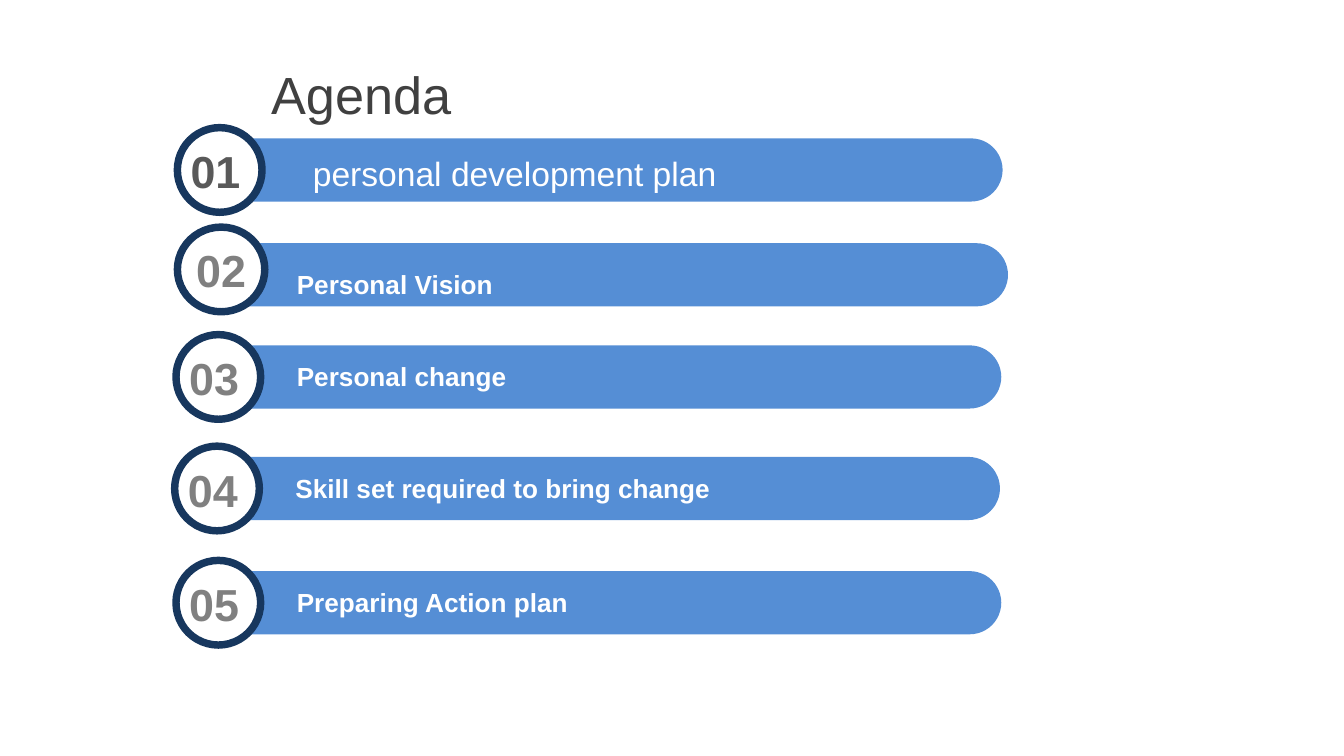
from pptx import Presentation
from pptx.dml.color import RGBColor
from pptx.enum.shapes import MSO_SHAPE
from pptx.enum.text import MSO_ANCHOR, PP_ALIGN
from pptx.util import Inches, Pt

BLUE = RGBColor(0x55, 0x8E, 0xD5)
NAVY = RGBColor(0x17, 0x37, 0x5E)
WHITE = RGBColor(0xFF, 0xFF, 0xFF)
DARK = RGBColor(0x40, 0x40, 0x40)
SLATE = RGBColor(0x59, 0x59, 0x59)
GREY = RGBColor(0x80, 0x80, 0x80)

BAR_H = 0.47
RING_H = 0.63


def add_text(slide, box, text, size, color, bold=False,
             anchor=MSO_ANCHOR.MIDDLE, align=PP_ALIGN.LEFT, pad=0.05):
    frame = slide.shapes.add_textbox(*map(Inches, box)).text_frame
    frame.word_wrap = True
    frame.vertical_anchor = anchor
    frame.margin_top = frame.margin_bottom = Inches(pad)
    para = frame.paragraphs[0]
    para.text = text
    para.alignment = align
    font = para.font
    font.name, font.size, font.bold = "Arial", Pt(size), bold
    font.color.rgb = color


def add_bar(slide, left, top, width):
    # An upright shape turned a quarter, so its round end faces right
    x = left + (width - BAR_H) / 2
    y = top + (BAR_H - width) / 2
    bar = slide.shapes.add_shape(MSO_SHAPE.ROUND_2_SAME_RECTANGLE,
                                 Inches(x), Inches(y), Inches(BAR_H), Inches(width))
    bar.rotation = 90
    bar.adjustments[0], bar.adjustments[1] = 0.5, 0
    bar.shadow.inherit = False
    bar.fill.solid()
    bar.fill.fore_color.rgb = BLUE
    bar.line.fill.background()


def add_row(slide, left, top, number, label, ring=RING_H, bar=(0.32, 0.08, 5.82),
            color=GREY, align=PP_ALIGN.JUSTIFY,
            note=(0.8, 0.14, 5.15, 0.34), size=14, bold=True):
    # Bar
    dx, dy, width = bar
    add_bar(slide, left + dx, top + dy, width)
    # Ring
    disc = slide.shapes.add_shape(MSO_SHAPE.OVAL, Inches(left), Inches(top),
                                  Inches(ring), Inches(RING_H))
    disc.shadow.inherit = False
    disc.fill.solid()
    disc.fill.fore_color.rgb = WHITE
    disc.line.color.rgb = NAVY
    disc.line.width = Pt(4)
    # Number
    add_text(slide, (left, top + 0.12, ring, 0.4), number, 24, color,
             True, MSO_ANCHOR.BOTTOM, align, pad=0)
    # Label
    x, y, w, h = note
    add_text(slide, (left + x, top + y, w, h), label, size, WHITE, bold)


def add_agenda(slide):
    add_text(slide, (1.92, 0.38, 7.36, 0.63), "Agenda", 28, DARK)
    add_row(slide, 1.32, 0.95, "01", "personal development plan", color=SLATE,
            note=(0.91, 0.14, 4.34, 0.4), size=18, bold=False)
    add_row(slide, 1.32, 1.69, "02", "Personal Vision", ring=0.65,
            bar=(0.13, 0.12, 6.05), align=PP_ALIGN.CENTER,
            note=(0.79, 0.25, 5.15, 0.34))
    for left, top, number, label in (
            (1.31, 2.49, "03", "Personal change"),
            (1.3, 3.32, "04", "Skill set required to bring change"),
            (1.31, 4.17, "05", "Preparing Action plan")):
        add_row(slide, left, top, number, label)


def main():
    deck = Presentation()
    deck.slide_width = Inches(10)
    deck.slide_height = deck.slide_width * 9 // 16
    add_agenda(deck.slides.add_slide(deck.slide_layouts[6]))
    deck.save("out.pptx")


if __name__ == "__main__":
    main()
